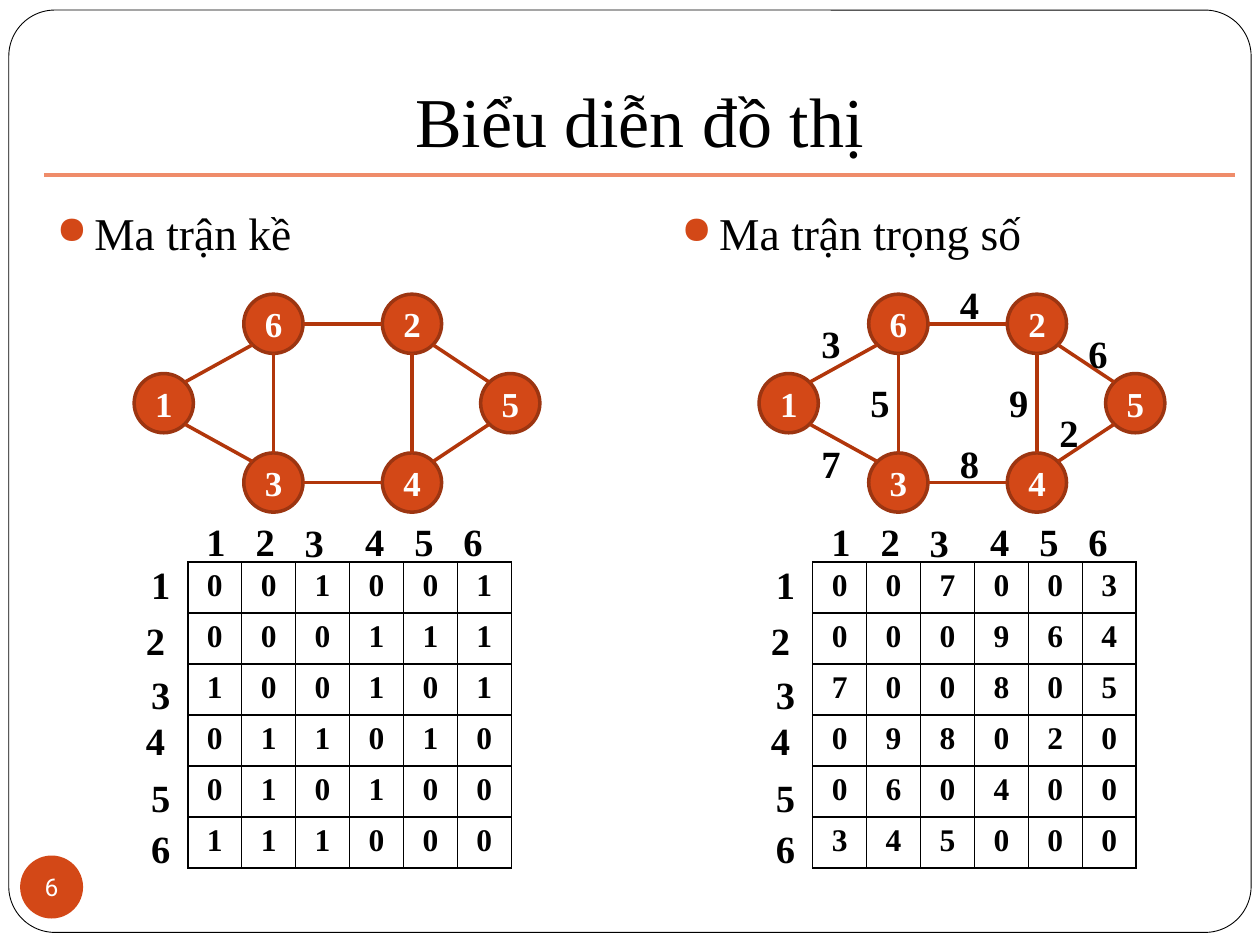
from lxml.etree import SubElement
from pptx import Presentation
from pptx.dml.color import RGBColor
from pptx.enum.shapes import MSO_CONNECTOR, MSO_SHAPE
from pptx.enum.text import MSO_ANCHOR, PP_ALIGN
from pptx.oxml.ns import qn
from pptx.util import Inches, Pt

BLACK = RGBColor(0x00, 0x00, 0x00)
WHITE = RGBColor(0xFF, 0xFF, 0xFF)
ORANGE = RGBColor(0xD3, 0x48, 0x17)
NODE_BORDER = RGBColor(0x9C, 0x35, 0x11)
EDGE_COLOR = RGBColor(0xB1, 0x36, 0x0B)
RULE_COLOR = RGBColor(0xEF, 0x8C, 0x6A)
SERIF = "Times New Roman"

RADIUS = 0.235
DIAGONAL = 0.71  # share of the radius at the 45-degree points of a circle
LABEL_SIZE = (0.39, 0.47)

# Positions are inches from the left of the panel and the top of the slide.
NODE_CENTERS = {
    1: (0.95, 3.2), 6: (1.82, 2.57), 3: (1.82, 3.83),
    2: (2.92, 2.57), 4: (2.92, 3.83), 5: (3.7, 3.2),
}
EDGES = [(1, 6), (1, 3), (6, 2), (2, 5), (4, 5), (3, 4), (6, 3), (2, 4)]
COLUMN_LABELS = [(1.19, 4.06), (1.58, 4.06), (1.97, 4.07),
                 (2.45, 4.06), (2.84, 4.06), (3.23, 4.06)]
ROW_LABELS = [(0.75, 4.4), (0.71, 4.85), (0.75, 5.28),
              (0.71, 5.64), (0.75, 6.09), (0.75, 6.5)]
WEIGHT_LABELS = [(3, 1.11, 2.49), (4, 2.21, 2.18), (7, 1.11, 3.44), (5, 1.5, 2.96),
                 (8, 2.21, 3.44), (9, 2.6, 2.96), (6, 3.23, 2.57), (2, 3, 3.2)]

ADJACENCY_ROWS = ["001001", "000111", "100101", "011010", "010100", "111000"]
WEIGHT_ROWS = ["007003", "000964", "700805", "098020", "060400", "345000"]


def write(text_frame, text, size, color=BLACK, bold=False, align=PP_ALIGN.LEFT, font=SERIF):
    text_frame.text = text
    paragraph = text_frame.paragraphs[0]
    paragraph.alignment = align
    run_font = paragraph.runs[0].font
    run_font.name = font
    run_font.size = Pt(size)
    run_font.bold = bold
    run_font.color.rgb = color


def add_text(slide, left, top, width, height, text, size, **style):
    text_box = slide.shapes.add_textbox(Inches(left), Inches(top), Inches(width), Inches(height))
    text_box.text_frame.word_wrap = True
    write(text_box.text_frame, text, size, **style)
    return text_box


def add_shape(slide, kind, left, top, width, height, fill, line=None, line_width=0):
    shape = slide.shapes.add_shape(kind, Inches(left), Inches(top), Inches(width), Inches(height))
    shape.shadow.inherit = False
    shape.fill.solid()
    shape.fill.fore_color.rgb = fill
    if line is None:
        shape.line.fill.background()
    else:
        shape.line.color.rgb = line
        shape.line.width = Pt(line_width)
    return shape


def add_line(slide, start, end, color):
    connector = slide.shapes.add_connector(
        MSO_CONNECTOR.STRAIGHT, *(Inches(value) for value in (*start, *end)))
    connector.line.color.rgb = color
    connector.line.width = Pt(2)
    SubElement(connector._element.spPr, qn("a:effectLst"))


def add_bullet_heading(slide, left, text):
    text_box = add_text(slide, left, 1.58, 4.41, 0.55, text, 26)
    properties = text_box.text_frame.paragraphs[0]._p.get_or_add_pPr()
    properties.set("marL", str(Inches(0.3)))
    properties.set("indent", str(Inches(-0.3)))
    bullet_color = SubElement(properties, qn("a:buClr"))
    SubElement(bullet_color, qn("a:srgbClr"), val=str(ORANGE))
    SubElement(properties, qn("a:buSzPct"), val="85000")
    SubElement(properties, qn("a:buChar"), char="●")


def add_label(slide, left, top, number):
    add_text(slide, left, top, *LABEL_SIZE, str(number), 22, bold=True)


def add_node(slide, center, number):
    x, y = center
    node = add_shape(slide, MSO_SHAPE.OVAL, x - RADIUS, y - RADIUS, 2 * RADIUS, 2 * RADIUS,
                     ORANGE, NODE_BORDER, 2)
    write(node.text_frame, str(number), 20, WHITE, True, PP_ALIGN.CENTER)
    node.text_frame.vertical_anchor = MSO_ANCHOR.MIDDLE


def sign(value):
    return (value > 0) - (value < 0)


def add_edge(slide, start, end):
    """Join two circles at their nearest 45-degree points."""
    step_x, step_y = sign(end[0] - start[0]), sign(end[1] - start[1])
    reach = RADIUS * (DIAGONAL if step_x and step_y else 1)
    shift_x, shift_y = step_x * reach, step_y * reach
    add_line(slide, (start[0] + shift_x, start[1] + shift_y),
             (end[0] - shift_x, end[1] - shift_y), EDGE_COLOR)


def add_graph(slide, left):
    centers = {number: (left + x, y) for number, (x, y) in NODE_CENTERS.items()}
    for number, center in centers.items():
        add_node(slide, center, number)
    for start, end in EDGES:
        add_edge(slide, centers[start], centers[end])


def set_borders(cell):
    properties = cell._tc.get_or_add_tcPr()
    for index, side in enumerate(("a:lnL", "a:lnR", "a:lnT", "a:lnB")):
        border = properties.makeelement(qn(side), {"w": str(Pt(1))})
        fill = SubElement(border, qn("a:solidFill"))
        SubElement(fill, qn("a:srgbClr"), val=str(BLACK))
        properties.insert(index, border)


def add_matrix(slide, left, rows):
    size = len(rows)
    table = slide.shapes.add_table(size, size, Inches(left + 1.14), Inches(4.46),
                                   Inches(2.57), Inches(2.43)).table
    table.first_row = table.horz_banding = False
    for row, values in enumerate(rows):
        for column, value in enumerate(values):
            cell = table.cell(row, column)
            cell.fill.background()
            write(cell.text_frame, value, 18, bold=True, align=PP_ALIGN.CENTER)
            set_borders(cell)
    for labels in (COLUMN_LABELS, ROW_LABELS):
        for number, (x, y) in enumerate(labels, start=1):
            add_label(slide, left + x, y, number)


def add_panel(slide, left, heading, rows):
    add_bullet_heading(slide, left, heading)
    add_graph(slide, left)
    add_matrix(slide, left, rows)


def add_frame_and_title(slide):
    frame = add_shape(slide, MSO_SHAPE.ROUNDED_RECTANGLE, 0.07, 0.08, 9.86, 7.32, WHITE, BLACK, 0.5)
    frame.adjustments[0] = 0.05
    title = add_text(slide, 0.35, 0.13, 9.45, 1.25, "Biểu diễn đồ thị", 40, align=PP_ALIGN.CENTER)
    title.text_frame.vertical_anchor = MSO_ANCHOR.BOTTOM
    title.text_frame.margin_bottom = Inches(0.1)
    add_line(slide, (0.35, 1.39), (9.8, 1.39), RULE_COLOR)


def add_slide_number(slide):
    badge = add_shape(slide, MSO_SHAPE.OVAL, 0.16, 6.79, 0.5, 0.5, ORANGE)
    text_frame = badge.text_frame
    text_frame.margin_left = text_frame.margin_right = 0
    text_frame.margin_top = text_frame.margin_bottom = 0
    text_frame.word_wrap = False
    text_frame.vertical_anchor = MSO_ANCHOR.MIDDLE
    write(text_frame, "6", 14, WHITE, align=PP_ALIGN.CENTER, font="Roboto")


def main():
    presentation = Presentation()
    presentation.slide_width, presentation.slide_height = Inches(10), Inches(7.5)
    slide = presentation.slides.add_slide(presentation.slide_layouts[6])
    add_frame_and_title(slide)
    add_slide_number(slide)
    add_panel(slide, 0.35, "Ma trận kề", ADJACENCY_ROWS)
    weighted_left = 5.31
    add_panel(slide, weighted_left, "Ma trận trọng số", WEIGHT_ROWS)
    for weight, x, y in WEIGHT_LABELS:
        add_label(slide, weighted_left + x, y, weight)
    presentation.save("out.pptx")


if __name__ == "__main__":
    main()
